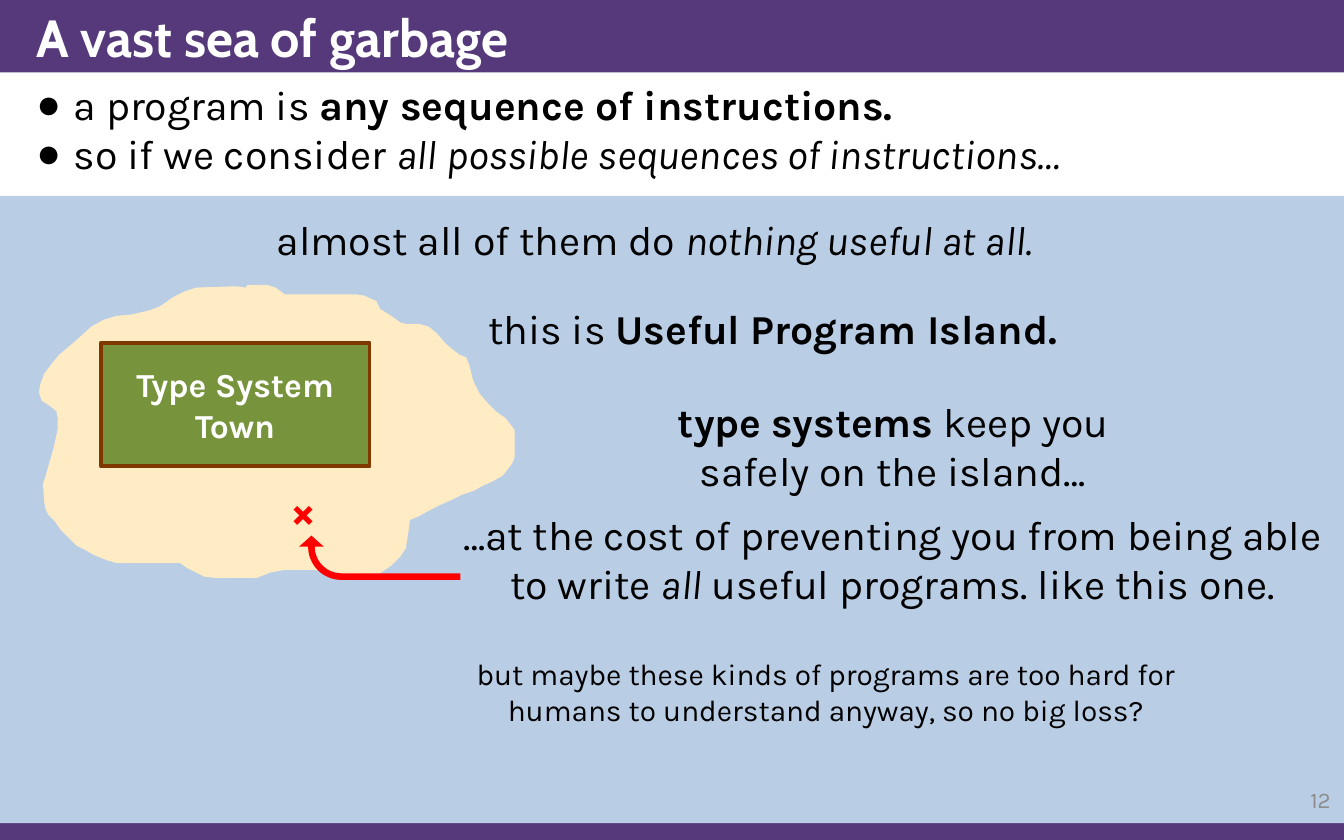
"""Build a slide about useful programs as an island in a sea of garbage."""
import dataclasses
import typing

import lxml.etree
import pptx
import pptx.dml.color
import pptx.enum.shapes
import pptx.enum.text
import pptx.oxml.ns
import pptx.util

RGBColor = pptx.dml.color.RGBColor
Align = pptx.enum.text.PP_ALIGN
Anchor = pptx.enum.text.MSO_ANCHOR
Fit = pptx.enum.text.MSO_AUTO_SIZE
Kind = pptx.enum.shapes.MSO_SHAPE

PURPLE = RGBColor(0x56, 0x39, 0x7B)
SEA = RGBColor(0xB9, 0xCD, 0xE5)
SAND = RGBColor(0xFF, 0xEC, 0xC5)
GREEN = RGBColor(0x77, 0x93, 0x3C)
BROWN = RGBColor(0x7E, 0x38, 0x00)
RED = RGBColor(0xFF, 0x00, 0x00)
GREY = RGBColor(0x8C, 0x8C, 0x8C)
BLACK = RGBColor(0x00, 0x00, 0x00)
WHITE = RGBColor(0xFF, 0xFF, 0xFF)

WIDTH, HEIGHT = pptx.util.Inches(10), pptx.util.Inches(6.25)
COLUMNS, ROWS = 100, 50
HEADER_ROWS, SEA_ROW, FOOTER_ROW = 4.32, 11.67, 49
COAST_UNITS = 1000

COAST = [
    (183, 214), (176, 213), (146, 214), (137, 217), (129, 221), (119, 228),
    (111, 231), (98, 234), (87, 235), (77, 238), (68, 243), (57, 253),
    (50, 259), (44, 264), (39, 270), (33, 278), (30, 286), (29, 292),
    (31, 298), (37, 302), (42, 306), (43, 311), (43, 319), (40, 333),
    (36, 347), (34, 354), (32, 360), (33, 374), (34, 379), (36, 383),
    (41, 388), (45, 394), (50, 399), (57, 406), (63, 409), (70, 413),
    (80, 417), (87, 419), (134, 419), (140, 423), (146, 426), (152, 429),
    (160, 430), (191, 430), (201, 426), (212, 424), (230, 424), (248, 425),
    (259, 428), (265, 429), (275, 428), (282, 427), (291, 421), (298, 414),
    (302, 408), (304, 395), (305, 387), (312, 384), (319, 380), (327, 376),
    (336, 372), (344, 368), (353, 365), (360, 361), (365, 359), (374, 354),
    (381, 345), (383, 340), (383, 320), (380, 316), (376, 311), (369, 306),
    (363, 300), (357, 293), (352, 283), (349, 271), (347, 266), (342, 264),
    (338, 261), (332, 256), (325, 248), (319, 243), (312, 241), (302, 241),
    (298, 240), (291, 235), (283, 230), (280, 224), (271, 220), (265, 219),
    (235, 219), (212, 219), (205, 214), (199, 212), (184, 212),
]


@dataclasses.dataclass(frozen=True)
class Area:
    """A rectangle in columns and rows of the slide grid."""

    column: float
    row: float
    columns: float
    rows: float

    def lengths(self) -> tuple[int, int, int, int]:
        """Return left, top, width and height in slide units."""
        across, down = WIDTH / COLUMNS, HEIGHT / ROWS
        return (round(self.column * across), round(self.row * down),
                round(self.columns * across), round(self.rows * down))


@dataclasses.dataclass(frozen=True)
class Span:
    """A run of text with its emphasis."""

    text: str
    bold: bool = False
    italic: bool = False


@dataclasses.dataclass(frozen=True)
class Style:
    """The look of a block of text."""

    size: float = 22
    color: RGBColor = BLACK
    align: Align = Align.CENTER
    anchor: Anchor = Anchor.TOP
    font: str = "Karla"
    wrap: bool = True
    fit: Fit = Fit.SHAPE_TO_FIT_TEXT


@dataclasses.dataclass(frozen=True)
class Label:
    """A text box on the slide."""

    area: Area
    spans: list[Span]
    style: Style = Style()


LABELS = [
    Label(Area(92.5, 46.3, 7.5, 2.64), [Span("12")],
          Style(12, GREY, Align.RIGHT, Anchor.MIDDLE, fit=Fit.NONE)),
    Label(Area(18.1, 12.4, 61.2, 3.76),
          [Span("almost all of them do "), Span("nothing useful at all.", italic=True)]),
    Label(Area(33.1, 17.68, 48.8, 3.76),
          [Span("this is "), Span("Useful Program Island.", bold=True)]),
    Label(Area(45.5, 23.2, 41.9, 6.72),
          [Span("type systems", bold=True), Span(" keep you safely on the island…")]),
    Label(Area(32.8, 29.92, 67.2, 6.72),
          [Span("…at the cost of preventing you from being able to write "),
           Span("all", italic=True), Span(" useful programs. like this one.")]),
    Label(Area(20.7, 28.32, 4.4, 4), [Span("×", bold=True)],
          Style(24, RED, Align.LEFT, wrap=False)),
    Label(Area(32.9, 38.64, 57.1, 5.12),
          [Span("but maybe these kinds of programs are too hard for "
                "humans to understand anyway, so no big loss?")], Style(16)),
]

BULLETS = [
    [Span("a program is "), Span("any sequence of instructions.", bold=True)],
    [Span("so if we consider "),
     Span("all possible sequences of instructions…", italic=True)],
]


def write(shape: typing.Any, paragraphs: list[list[Span]], style: Style) -> None:
    """Fill a shape with styled paragraphs."""
    frame = shape.text_frame
    frame.word_wrap = style.wrap
    frame.auto_size = style.fit
    frame.vertical_anchor = style.anchor
    for index, spans in enumerate(paragraphs):
        para = frame.paragraphs[0] if index == 0 else frame.add_paragraph()
        para.alignment = style.align
        para.space_before = pptx.util.Pt(0)
        for span in spans:
            run = para.add_run()
            run.text = span.text
            run.font.name = style.font
            run.font.size = pptx.util.Pt(style.size)
            run.font.color.rgb = style.color
            run.font.bold = span.bold
            run.font.italic = span.italic


def place(shape: typing.Any, area: Area) -> None:
    """Move a placeholder to an area of the grid."""
    shape.left, shape.top, shape.width, shape.height = area.lengths()


def paint(shape: typing.Any, color: RGBColor) -> None:
    """Give a shape a flat fill with no line or shadow."""
    shape.shadow.inherit = False
    shape.fill.solid()
    shape.fill.fore_color.rgb = color
    shape.line.fill.background()


def add_block(page: typing.Any, area: Area, color: RGBColor,
              kind: Kind = Kind.RECTANGLE) -> typing.Any:
    """Add a flat preset shape."""
    block = page.shapes.add_shape(kind, *area.lengths())
    paint(block, color)
    return block


def add_bullet(para: typing.Any) -> None:
    """Give a paragraph a hanging round bullet."""
    properties = para._p.get_or_add_pPr()
    indent = pptx.util.Inches(0.28)
    properties.set("marL", str(indent))
    properties.set("indent", str(-indent))
    bullet = lxml.etree.SubElement(properties, pptx.oxml.ns.qn("a:buChar"))
    bullet.set("char", "●")


def add_island(page: typing.Any) -> None:
    """Draw the island from its coast points."""
    builder = page.shapes.build_freeform(*COAST[0], scale=WIDTH / COAST_UNITS)
    builder.add_line_segments(COAST[1:], close=True)
    paint(builder.convert_to_shape(), SAND)


def main() -> None:
    """Build and save the deck."""
    deck = pptx.Presentation()
    deck.slide_width, deck.slide_height = WIDTH, HEIGHT
    page = deck.slides.add_slide(deck.slide_layouts[1])
    title, body = page.shapes.title, page.placeholders[1]

    for area, color in [
        (Area(0, FOOTER_ROW, COLUMNS, ROWS - FOOTER_ROW), PURPLE),
        (Area(0, 0, COLUMNS, HEADER_ROWS), PURPLE),
        (Area(0, SEA_ROW, COLUMNS, FOOTER_ROW - SEA_ROW), SEA),
    ]:
        title.element.addprevious(add_block(page, area, color).element)

    place(title, Area(1.7, 0, 98.3, HEADER_ROWS))
    write(title, [[Span("A vast sea of garbage", bold=True)]],
          Style(28, WHITE, Align.LEFT, Anchor.MIDDLE, "Cabin", fit=Fit.NONE))
    place(body, Area(1.7, HEADER_ROWS, 98.3, SEA_ROW - HEADER_ROWS))
    write(body, BULLETS, Style(align=Align.LEFT, fit=Fit.NONE))
    for para in body.text_frame.paragraphs:
        add_bullet(para)

    add_island(page)
    town = add_block(page, Area(7.5, 20.4, 20, 7.36), GREEN)
    town.line.color.rgb = BROWN
    town.line.width = pptx.util.Pt(2)
    write(town, [[Span("Type System Town", bold=True)]],
          Style(18, WHITE, anchor=Anchor.MIDDLE, fit=Fit.NONE))
    arrow = add_block(page, Area(26.6, 28.4, 3.3, 9.6), RED, Kind.BENT_ARROW)
    arrow.rotation = 270
    for index, share in enumerate([0.15, 0.28, 0.25, 0.75]):
        arrow.adjustments[index] = share

    for label in LABELS:
        box = page.shapes.add_textbox(*label.area.lengths())
        write(box, [label.spans], label.style)
    deck.save("out.pptx")


if __name__ == "__main__":
    main()
